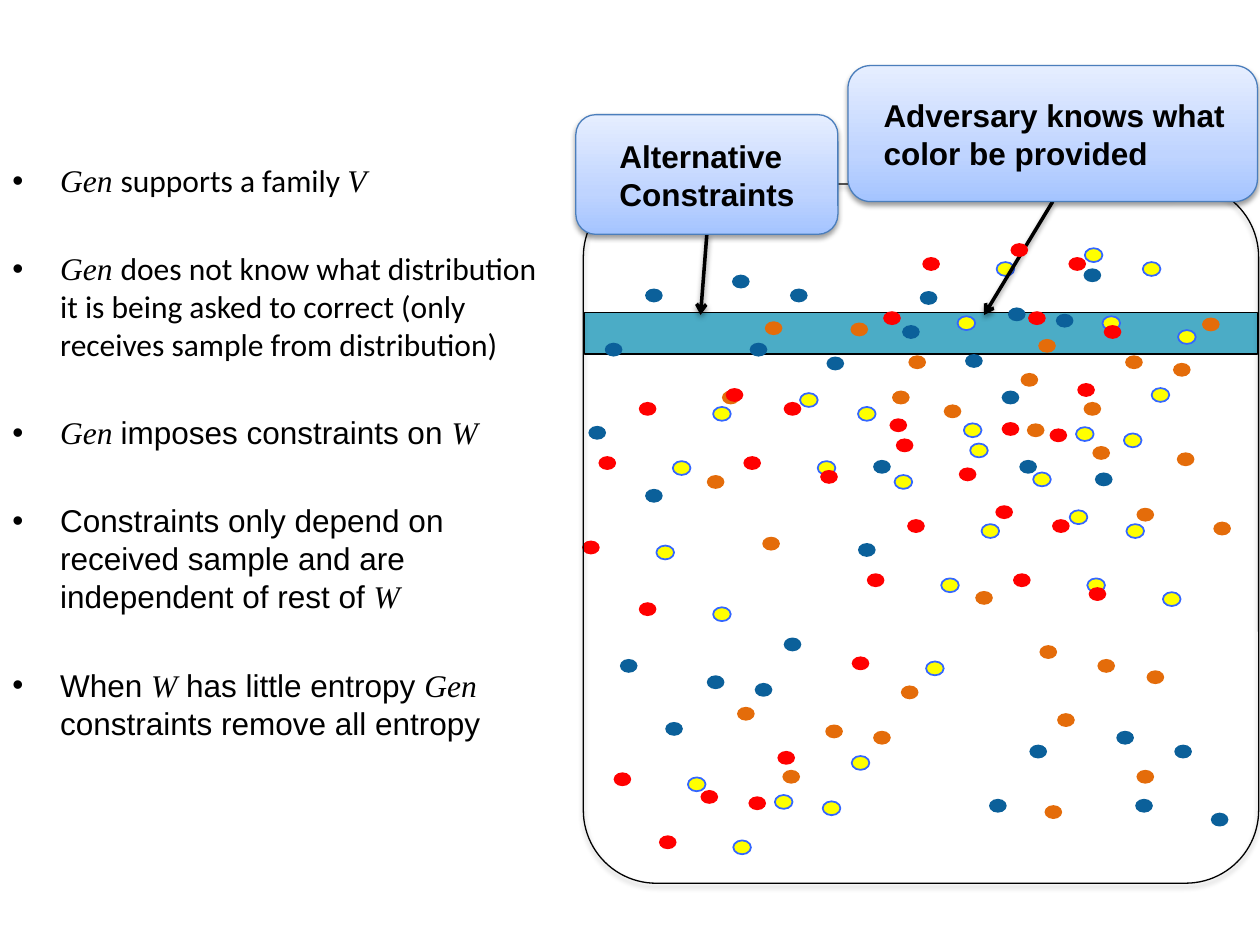
from lxml.etree import SubElement
from pptx import Presentation
from pptx.dml.color import RGBColor
from pptx.enum.shapes import MSO_CONNECTOR as Connector, MSO_SHAPE as Shape
from pptx.enum.text import MSO_ANCHOR as Anchor
from pptx.oxml.ns import qn
from pptx.util import Inches, Pt

ARIAL, CALIBRI, TIMES = "Arial", "Calibri", "Times New Roman"
GEN = ("Gen ", TIMES)
W = ("W", TIMES)
POINTS = [
    [GEN, ("supports a family ", CALIBRI), ("V", TIMES)],
    [GEN, ("does not know what distribution it is being asked to correct "
           "(only receives sample from distribution)", CALIBRI)],
    [GEN, ("imposes constraints on ", ARIAL), W],
    [("Constraints only depend on received sample and are "
      "independent of rest of ", ARIAL), W],
    [("When ", ARIAL), W, (" has little entropy ", ARIAL), GEN,
     ("constraints remove all entropy", ARIAL)],
]

BLUE_SAMPLES = [
    (2.81, 4.31), (2.93, 3.65), (3.95, 3.1), (4.69, 3.75), (4.09, 3.65),
    (0.67, 3.38), (0.8, 2.72), (2.27, 2.29), (1.28, 5.73), (0.92, 5.23),
    (1.81, 2.18), (2.56, 2.83), (1.61, 5.36), (2.22, 5.06), (1.95, 2.72),
    (1.12, 3.88), (1.99, 5.42), (1.12, 2.29), (3.66, 2.81), (3.3, 2.31),
    (4, 2.44), (4.6, 2.13), (3.16, 2.58), (4.38, 2.49), (3.85, 6.34),
    (5.32, 5.91), (4.86, 5.8), (5.61, 6.45), (5.01, 6.34), (4.17, 5.91),
]
ORANGE_SAMPLES = [
    (3.74, 4.69), (5.34, 3.59), (4.67, 3.54), (5.63, 4.14), (5.02, 4.03),
    (4.15, 3.36), (1.61, 3.77), (1.73, 3.1), (3.21, 2.82), (2.21, 6.11),
    (1.85, 5.61), (2.75, 2.56), (3.49, 3.21), (2.55, 5.75), (3.15, 5.44),
    (3.08, 3.1), (2.05, 4.26), (2.93, 5.8), (2.07, 2.55), (4.6, 3.19),
    (4.24, 2.69), (4.93, 2.82), (5.54, 2.52), (4.1, 2.96), (5.31, 2.88),
    (4.29, 6.39), (4.71, 5.23), (4.25, 5.12), (5.1, 5.32), (4.39, 5.66),
    (5.02, 6.11),
]
RED_SAMPLES = [
    (2.76, 5.21), (2.88, 4.55), (4.35, 4.12), (3.9, 4.01), (4.64, 4.66),
    (4.04, 4.55), (3.2, 4.12), (0.62, 4.29), (0.75, 3.62), (2.22, 3.19),
    (1.23, 6.63), (0.87, 6.13), (1.76, 3.08), (2.51, 3.73), (1.56, 6.27),
    (2.17, 5.96), (1.9, 3.62), (1.07, 4.78), (1.94, 6.32), (1.07, 3.19),
    (3.61, 3.71), (3.06, 3.32), (3.95, 3.35), (4.55, 3.04), (3.11, 3.48),
    (4.33, 3.4), (3.01, 2.47), (4.48, 2.04), (4.02, 1.93), (4.76, 2.58),
    (4.16, 2.47), (3.32, 2.04),
]
YELLOW_SAMPLES = [(x + 0.59, y + 0.04) for x, y in RED_SAMPLES]


def color(value):
    """Turn a hex string into a colour."""
    return RGBColor.from_string(value)


def add_text(paragraph, text, font=ARIAL, size=18, bold=False, italic=False,
             ink="000000"):
    """Add one formatted run to a paragraph."""
    run = paragraph.add_run()
    run.text = text
    run.font.name, run.font.size = font, Pt(size)
    run.font.bold, run.font.italic = bold, italic
    run.font.color.rgb = color(ink)


def add_shadow(part, alpha=38, distance=1.6):
    """Give a shape or connector a soft shadow below it."""
    properties = part._element.spPr
    effects = properties.find(qn("a:effectLst"))
    if effects is None:
        effects = SubElement(properties, qn("a:effectLst"))
    shadow = SubElement(effects, qn("a:outerShdw"), blurRad=str(Pt(3.1)),
                        dist=str(Pt(distance)), dir="5400000", rotWithShape="0")
    black = SubElement(shadow, qn("a:srgbClr"), val="000000")
    SubElement(black, qn("a:alpha"), val=str(alpha * 1000))


def add_outline(shapes, kind, box, fill=None, line=None, width=1):
    """Add a preset shape with plain fill and line."""
    shape = shapes.add_shape(kind, *map(Inches, box))
    shape.shadow.inherit = False
    if fill:
        shape.fill.solid()
        shape.fill.fore_color.rgb = color(fill)
    else:
        shape.fill.background()
    if line:
        shape.line.color.rgb = color(line)
        shape.line.width = Pt(width)
    else:
        shape.line.fill.background()
    return shape


def add_samples(slide, origin, places, fill, line=None):
    """Add a group of equal dots at places measured from the origin."""
    group = slide.shapes.add_group_shape()
    for x, y in places:
        add_outline(group.shapes, Shape.OVAL,
                    (origin[0] + x, origin[1] + y, 0.14, 0.11), fill, line)


def add_arrow(slide, start, end):
    """Add a black arrow."""
    arrow = slide.shapes.add_connector(
        Connector.STRAIGHT, *map(Inches, (*start, *end)))
    arrow.line.color.rgb = color("000000")
    arrow.line.width = Pt(2)
    SubElement(arrow._element.spPr.find(qn("a:ln")), qn("a:tailEnd"), type="arrow")
    add_shadow(arrow)
    return arrow


def add_callout(slide, box, text, indent):
    """Add a rounded label with a blue gradient."""
    callout = add_outline(slide.shapes, Shape.ROUNDED_RECTANGLE, box,
                          line="4B7EBC", width=0.75)
    callout.fill.gradient()
    callout.fill.gradient_angle = 90
    stops = callout._element.spPr.find(".//" + qn("a:gsLst"))
    stops.clear()
    for place, shade in ((0, "A4C4FF"), (35, "BFD4FF"), (100, "E6EEFF")):
        stop = SubElement(stops, qn("a:gs"), pos=str(place * 1000))
        SubElement(stop, qn("a:srgbClr"), val=shade)
    add_shadow(callout)
    frame = callout.text_frame
    frame.word_wrap = True
    frame.vertical_anchor = Anchor.MIDDLE
    frame.margin_left = Inches(indent)
    frame.margin_right = frame.margin_top = frame.margin_bottom = Inches(0.05)
    paragraph = frame.paragraphs[0]
    paragraph.alignment = 1
    paragraph.line_spacing = Pt(21.7)
    add_text(paragraph, text, bold=True)
    return callout


def add_points(slide, box):
    """Place the bulleted points in the box."""
    frame = slide.shapes.add_textbox(*map(Inches, box)).text_frame
    frame.word_wrap = True
    for index, point in enumerate(POINTS):
        paragraph = frame.paragraphs[0] if index == 0 else frame.add_paragraph()
        paragraph.line_spacing = Pt(21.7)
        paragraph.space_after = Pt(28.6)
        layout = paragraph._p.get_or_add_pPr()
        layout.set("marL", str(Inches(0.38)))
        layout.set("indent", str(-Inches(0.38)))
        SubElement(layout, qn("a:buFont"), typeface=ARIAL)
        SubElement(layout, qn("a:buChar"), char="•")
        for text, font in point:
            add_text(paragraph, text, font=font, italic=font == TIMES)


def add_sample_space(slide, box):
    """Place the samples, the constraint band and its two labels in the box."""
    left, top, width, height = box
    origin = (left, top)
    add_outline(slide.shapes, Shape.RECTANGLE,
                (left + 0.64, top + 2.48, width - 0.66, 0.33), "4BACC6", "000000")
    add_samples(slide, origin, BLUE_SAMPLES, "0B609A")
    add_samples(slide, origin, YELLOW_SAMPLES, "FFFF00", "3366FF")
    add_samples(slide, origin, ORANGE_SAMPLES, "E46C0A")
    color_arrow = add_arrow(slide, (left + 4.36, top + 1.6), (left + 3.81, top + 2.5))
    add_samples(slide, origin, RED_SAMPLES, "FF0000")
    band_arrow = add_arrow(slide, (left + 1.61, top + 1.86), (left + 1.56, top + 2.5))
    border = add_outline(slide.shapes, Shape.ROUNDED_RECTANGLE,
                         (left + 0.63, top + 1.46, width - 0.64, height - 1.95),
                         line="000000", width=0.75)
    border.adjustments[0] = 0.108
    add_shadow(border, alpha=35, distance=1.8)
    adversary = add_callout(slide, (left + 2.73, top + 0.52, 3.25, 1.08),
                            "Adversary knows what color be provided", 0.23)
    constraints = add_callout(slide, (left + 0.57, top + 0.91, 2.08, 0.95),
                              "Alternative Constraints", 0.3)
    color_arrow.begin_connect(adversary, 2)
    band_arrow.begin_connect(constraints, 2)


def main():
    """Build and save the slide."""
    deck = Presentation()
    deck.slide_width, deck.slide_height = Inches(10), Inches(7.5)
    slide = deck.slides.add_slide(deck.slide_layouts[6])
    add_points(slide, (0, 1.23, 4.44, 5.64))
    add_sample_space(slide, (4, 0, 6, 7.5))
    deck.save("out.pptx")


if __name__ == "__main__":
    main()
